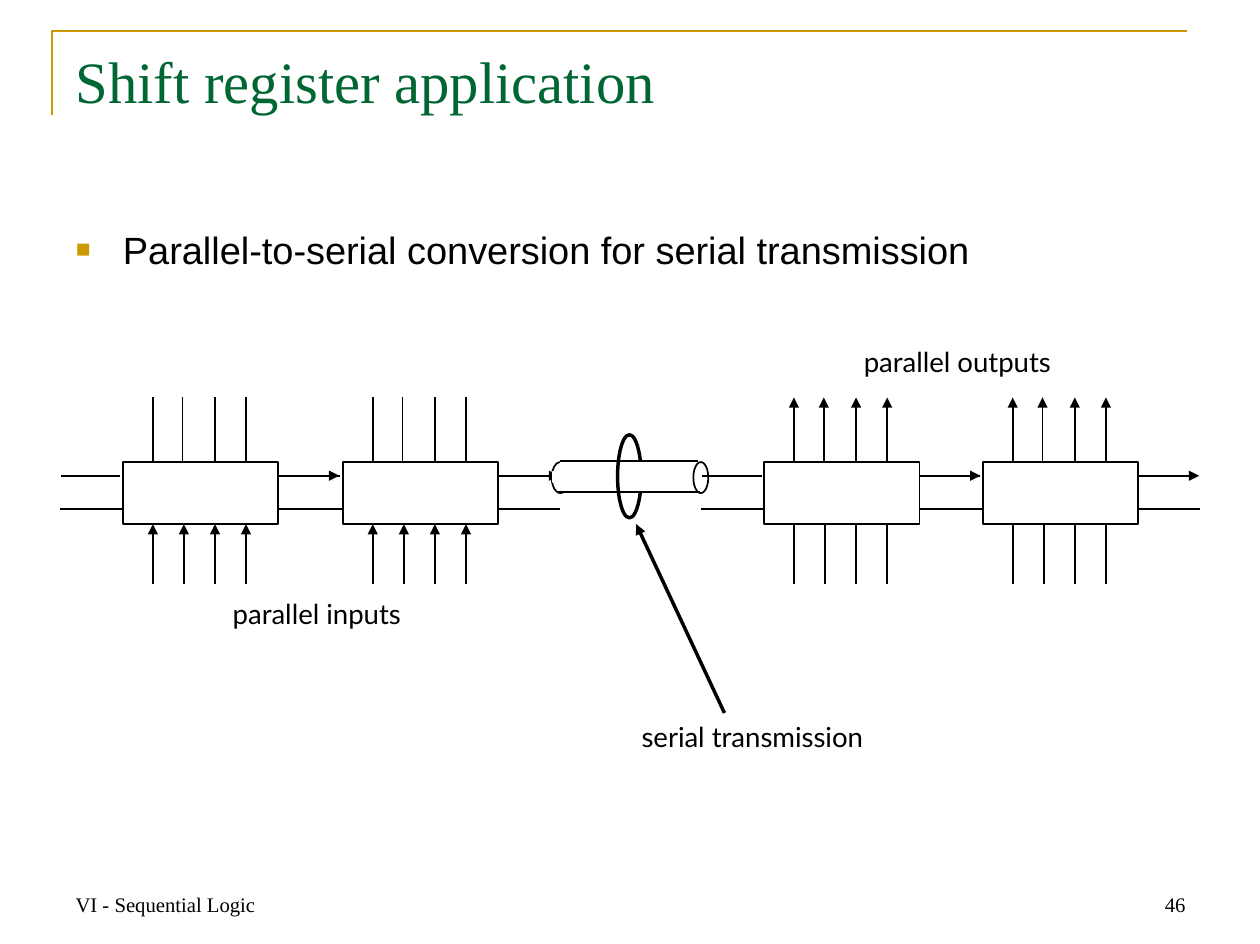
from dataclasses import dataclass

from lxml import etree
from pptx import Presentation
from pptx.dml.color import RGBColor
from pptx.enum.shapes import MSO_CONNECTOR, MSO_SHAPE
from pptx.enum.text import MSO_ANCHOR, MSO_AUTO_SIZE, PP_ALIGN
from pptx.oxml.ns import qn
from pptx.util import Inches, Pt

LEFT, CENTER, RIGHT = PP_ALIGN.LEFT, PP_ALIGN.CENTER, PP_ALIGN.RIGHT
TOP, BOTTOM = MSO_ANCHOR.TOP, MSO_ANCHOR.BOTTOM
RECTANGLE, OVAL = MSO_SHAPE.RECTANGLE, MSO_SHAPE.OVAL
STRAIGHT = MSO_CONNECTOR.STRAIGHT


@dataclass(frozen=True)
class Theme:
    black: RGBColor = RGBColor(0x00, 0x00, 0x00)
    white: RGBColor = RGBColor(0xFF, 0xFF, 0xFF)
    green: RGBColor = RGBColor(0x00, 0x66, 0x33)
    gold: RGBColor = RGBColor(0xCC, 0x99, 0x00)
    serif: str = "Times New Roman"
    sans: str = "Arial"
    label: str = "Lato"
    title_size: int = 34
    body_size: int = 22
    label_size: int = 16
    footer_size: int = 12


theme = Theme()
presentation = Presentation()
presentation.slide_width = Inches(10.14)
presentation.slide_height = Inches(7.6)
slide = presentation.slides.add_slide(presentation.slide_layouts[1])
shapes = slide.shapes


def write_text(text, box, font, size, color=theme.black, shape=None, align=LEFT,
               anchor=TOP, margins=(0.1, 0.05), wrap=True, spacing=None):
    left, top, width, height = (Inches(value) for value in box)
    if shape is None:
        shape = shapes.add_textbox(left, top, width, height)
    else:
        shape.left, shape.top, shape.width, shape.height = left, top, width, height
    frame = shape.text_frame
    frame.auto_size = MSO_AUTO_SIZE.NONE
    frame.word_wrap = wrap
    frame.vertical_anchor = anchor
    frame.margin_left = frame.margin_right = Inches(margins[0])
    frame.margin_top = frame.margin_bottom = Inches(margins[1])
    paragraph = frame.paragraphs[0]
    paragraph.alignment = align
    if spacing:
        paragraph.line_spacing = Pt(spacing)
    run = paragraph.add_run()
    run.text = text
    run.font.name = font
    run.font.size = Pt(size)
    run.font.color.rgb = color
    return paragraph


def draw_line(x1, y1, x2, y2, arrow=False, width=1):
    line = shapes.add_connector(STRAIGHT, Inches(x1), Inches(y1), Inches(x2), Inches(y2))
    line.line.color.rgb = theme.black
    line.line.width = Pt(width)
    if arrow:
        etree.SubElement(line.line._get_or_add_ln(), qn("a:tailEnd"), type="triangle")
    etree.SubElement(line._element.spPr, qn("a:effectLst"))


builder = shapes.build_freeform(Inches(0.42), Inches(0.93))
builder.add_line_segments([(Inches(0.42), Inches(0.25)), (Inches(9.55), Inches(0.25))], close=False)
corner = builder.convert_to_shape()
corner.shadow.inherit = False
corner.fill.background()
corner.line.color.rgb = theme.gold
corner.line.width = Pt(1.5)

write_text("Shift register application", (0.51, 0.31, 9.12, 1.26), theme.serif,
           theme.title_size, theme.green, shape=shapes.title)
bullet = write_text("Parallel-to-serial conversion for serial transmission",
                    (0.51, 1.77, 9.12, 5.02), theme.sans, theme.body_size,
                    shape=slide.placeholders[1])
properties = bullet._p.get_or_add_pPr()
properties.set("marL", str(Inches(0.38)))
properties.set("indent", str(Inches(-0.38)))
bullet_color = etree.SubElement(properties, qn("a:buClr"))
etree.SubElement(bullet_color, qn("a:srgbClr"), val=str(theme.gold))
etree.SubElement(properties, qn("a:buSzPct"), val="65000")
etree.SubElement(properties, qn("a:buFont"), typeface=theme.sans)
etree.SubElement(properties, qn("a:buChar"), char="■")

for text, left, align in [("VI - Sequential Logic", 0.51, LEFT), ("46", 7.27, RIGHT)]:
    write_text(text, (left, 6.92, 2.37, 0.51), theme.serif, theme.footer_size,
               align=align, anchor=BOTTOM)

for text, left, top, width in [("parallel inputs", 1.46, 4.79, 2.18),
                               ("parallel outputs", 6.6, 2.76, 2.21),
                               ("serial transmission", 4.4, 5.78, 3.31)]:
    write_text(text, (left, top, width, 0.39), theme.label, theme.label_size,
               align=CENTER, margins=(0.02, 0.03), wrap=False, spacing=18)

REGISTER_TOP, REGISTER_BOTTOM, REGISTER_WIDTH = 3.72, 4.22, 1.25
registers = [(0.99, False), (2.76, False), (6.15, True), (7.91, True)]
cable_parts = [
    (OVAL, 4.44, 3.72, 0.14, 0.25, None, theme.black, 1),
    (OVAL, 5.58, 3.72, 0.12, 0.25, None, theme.black, 1),
    (RECTANGLE, 4.51, 3.73, 0.11, 0.22, theme.white, theme.white, 1),
    (RECTANGLE, 4.45, 3.8, 0.1, 0.08, theme.white, theme.white, 1),
    (OVAL, 4.97, 3.5, 0.19, 0.67, None, theme.black, 2),
    (RECTANGLE, 5.1, 3.73, 0.11, 0.22, theme.white, theme.white, 1),
]
register_parts = [(RECTANGLE, left, REGISTER_TOP, REGISTER_WIDTH, REGISTER_BOTTOM - REGISTER_TOP,
                   theme.white, theme.black, 1) for left, is_receiver in registers]

for left, is_receiver in registers:
    right = left + REGISTER_WIDTH
    draw_line(left - 0.5, 3.83, left - 0.02, 3.83)
    draw_line(right, 3.83, right + 0.49, 3.83, arrow=True)
    draw_line(left - 0.51, 4.1, left, 4.1)
    draw_line(right - 0.01, 4.1, right + 0.5, 4.1)
    for offset in (0.24, 0.48, 0.74, 0.99):
        draw_line(left + offset, REGISTER_TOP, left + offset, 3.2, arrow=is_receiver)
    for offset in (0.24, 0.49, 0.74, 0.99):
        draw_line(left + offset, 4.7, left + offset, REGISTER_BOTTOM, arrow=not is_receiver)

draw_line(5.83, 5.74, 5.12, 4.22, arrow=True, width=2)
draw_line(4.51, 3.71, 5.62, 3.71)
draw_line(4.49, 3.96, 5.63, 3.96)

for kind, left, top, width, height, fill, outline, weight in register_parts + cable_parts:
    part = shapes.add_shape(kind, Inches(left), Inches(top), Inches(width), Inches(height))
    part.shadow.inherit = False
    if fill is None:
        part.fill.background()
    else:
        part.fill.solid()
        part.fill.fore_color.rgb = fill
    part.line.color.rgb = outline
    part.line.width = Pt(weight)

presentation.save("out.pptx")
